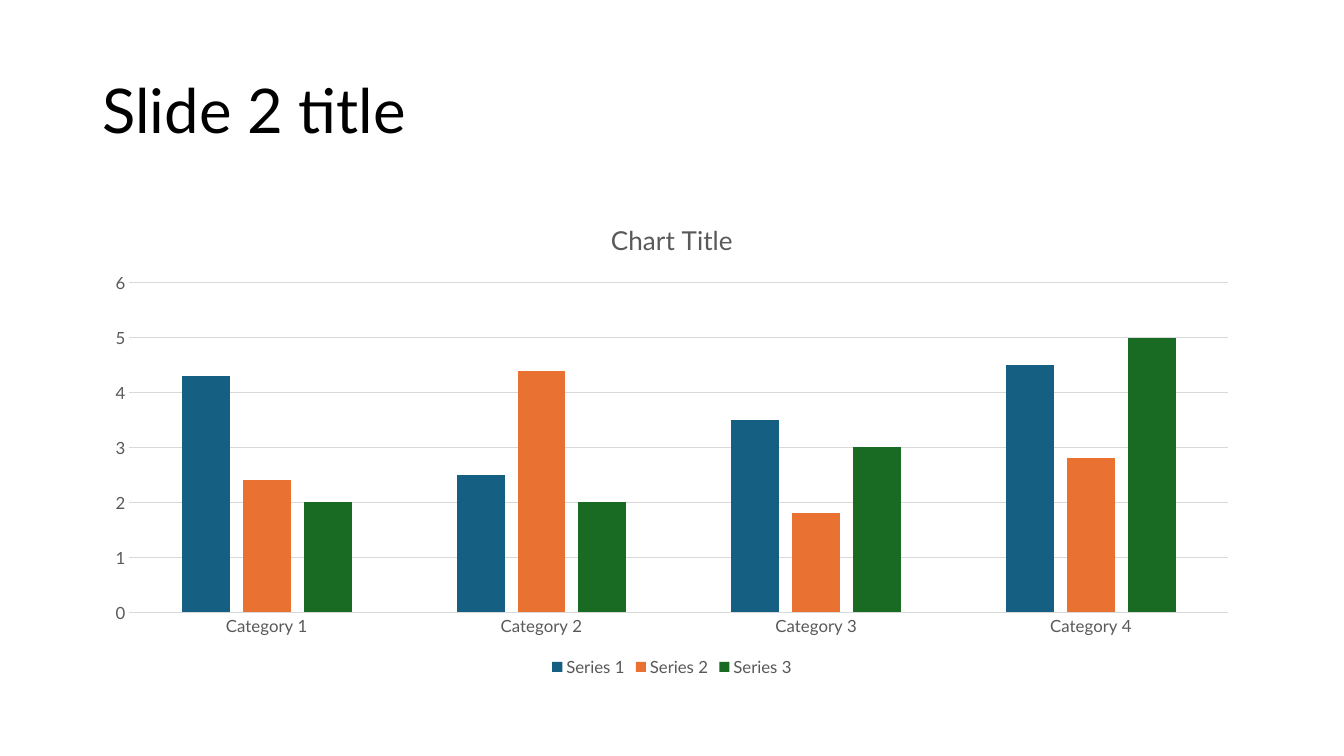
from pptx import Presentation, util as u
from pptx.chart import data
from pptx.dml import color
from pptx.enum import chart as ch, text

LEFT, WIDTH = 2.33, 29.21
CATEGORIES = ["Category 1", "Category 2", "Category 3", "Category 4"]
SERIES = [
    ("Series 1", [4.3, 2.5, 3.5, 4.5], "156082"),
    ("Series 2", [2.4, 4.4, 1.8, 2.8], "E97132"),
    ("Series 3", [2, 2, 3, 5], "196B24"),
]


def rgb(code):
    return color.RGBColor.from_string(code)


class SlideBuilder:
    FONT = "Lato"
    INK, MUTED, RULE = "000000", "595959", "D9D9D9"

    def __init__(self, slide):
        self.slide = slide

    def style_font(self, font, size, ink):
        font.name, font.size, font.bold = self.FONT, u.Pt(size), False
        font.color.rgb = rgb(ink)

    def style_rule(self, line):
        line.color.rgb = rgb(self.RULE)
        line.width = u.Pt(0.75)

    def title(self, wording, left, top, width, height):
        box = self.slide.shapes.add_textbox(u.Cm(left), u.Cm(top), u.Cm(width), u.Cm(height))
        frame = box.text_frame
        frame.word_wrap = True
        frame.vertical_anchor = text.MSO_ANCHOR.MIDDLE
        heading = frame.paragraphs[0]
        heading.text = wording
        heading.line_spacing = 0.9
        self.style_font(heading.font, 44, self.INK)

    def column_chart(self, heading, categories, series, left, top, width, height):
        figures = data.CategoryChartData()
        figures.categories = categories
        for name, values, _ in series:
            figures.add_series(name, values)
        chart = self.slide.shapes.add_chart(
            ch.XL_CHART_TYPE.COLUMN_CLUSTERED,
            u.Cm(left), u.Cm(top), u.Cm(width), u.Cm(height), figures).chart
        self.style_font(chart.font, 10, self.INK)

        chart.has_title = True
        chart.chart_title.include_in_layout = False
        caption = chart.chart_title.text_frame.paragraphs[0]
        caption.text = heading
        self.style_font(caption.font, 18.6, self.MUTED)

        chart.has_legend = True
        chart.legend.position = ch.XL_LEGEND_POSITION.BOTTOM
        chart.legend.include_in_layout = False
        self.style_font(chart.legend.font, 12, self.MUTED)

        for axis in (chart.category_axis, chart.value_axis):
            axis.major_tick_mark = axis.minor_tick_mark = ch.XL_TICK_MARK.NONE
            self.style_font(axis.tick_labels.font, 12, self.MUTED)
        self.style_rule(chart.category_axis.format.line)
        chart.value_axis.format.line.fill.background()
        self.style_rule(chart.value_axis.major_gridlines.format.line)
        chart.value_axis.minimum_scale = 0
        chart.value_axis.maximum_scale = 6
        chart.value_axis.major_unit = 1

        plot = chart.plots[0]
        plot.gap_width, plot.overlap = 219, -27
        plot.vary_by_categories = False
        for columns, (_, _, shade) in zip(plot.series, series):
            columns.format.fill.solid()
            columns.format.fill.fore_color.rgb = rgb(shade)
            columns.invert_if_negative = False


def main():
    deck = Presentation()
    deck.slide_width, deck.slide_height = u.Cm(33.87), u.Cm(19.05)
    builder = SlideBuilder(deck.slides.add_slide(deck.slide_layouts[6]))
    builder.title("Slide 2 title", LEFT, 1.01, WIDTH, 3.68)
    builder.column_chart("Chart Title", CATEGORIES, SERIES, LEFT, 5.07, WIDTH, 12.09)
    deck.save("out.pptx")


if __name__ == "__main__":
    main()
